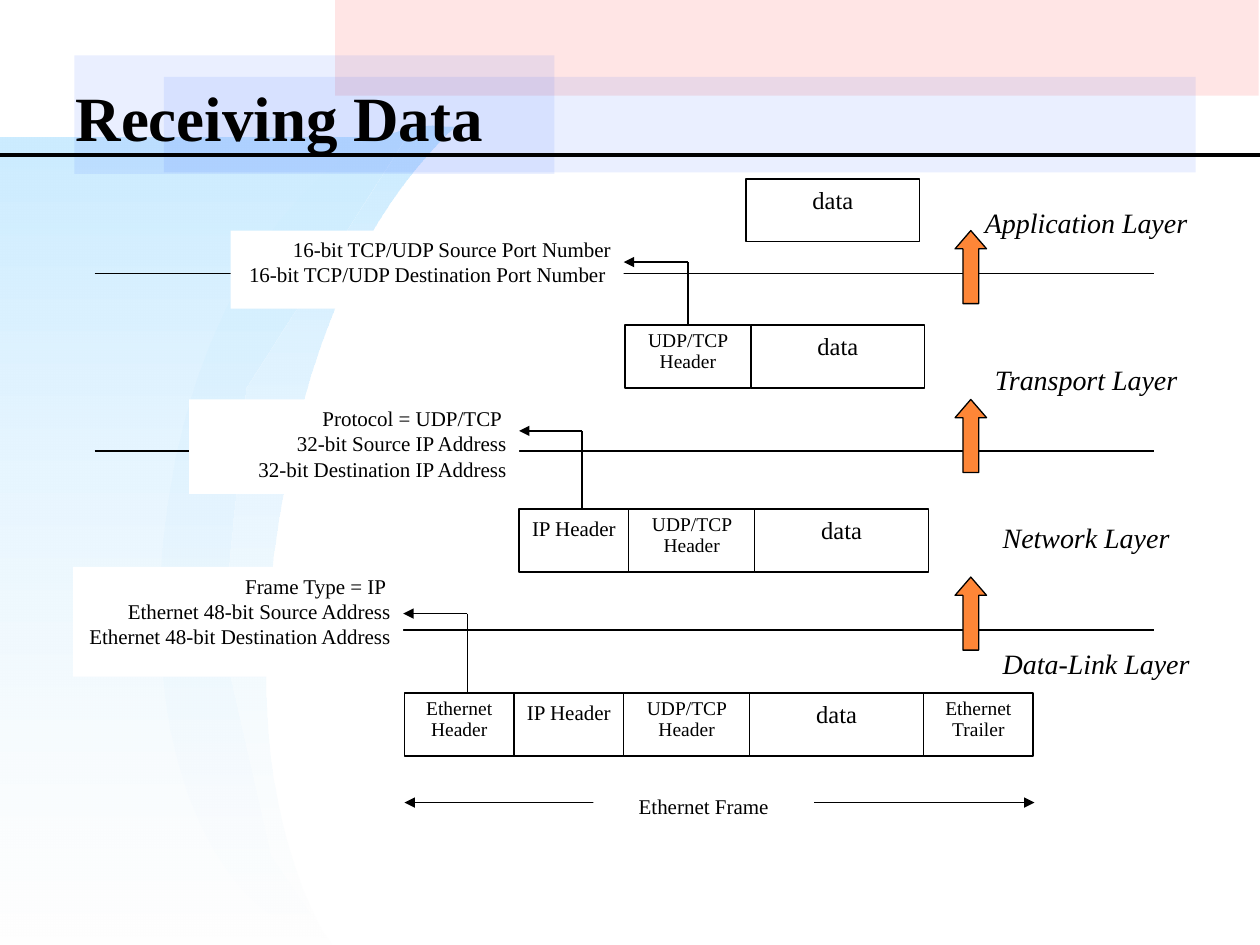
from lxml.etree import SubElement
from pptx import Presentation
from pptx.dml.color import RGBColor
from pptx.enum.shapes import MSO_CONNECTOR, MSO_SHAPE
from pptx.enum.text import MSO_ANCHOR, PP_ALIGN
from pptx.oxml.ns import qn
from pptx.util import Inches, Pt

THEME = {
    "font": "Times New Roman", "ink": "000000", "paper": "FFFFFF",
    "pink": "FFCCCC", "blue": "3366FF", "sky": "CCECFF", "mist": "FEFEFE", "arrow": "FE8637",
    "title": 36, "layer": 16, "data": 14, "body": 12, "header": 11.1,
    "hairline": 0.75, "rule": 2.25,
}

TITLE = "Receiving Data"
LAYERS = [("Application Layer", 7.58, 1.58), ("Transport Layer", 7.58, 2.83),
          ("Network Layer", 7.58, 4.08), ("Data-Link Layer", 7.66, 5.08)]
BOUNDARIES = [2.17, 3.58, 5]
UP_ARROWS = [1.83, 3.17, 4.58]

FIELDS = {
    "data": (1.38, "data", 1),
    "UDP/TCP Header": (1, "header", 0.9),
    "IP Header": (0.87, "body", 1),
    "Ethernet Header": (0.87, "header", 0.9),
    "Ethernet Trailer": (0.87, "header", 0.9),
}
PACKETS = [
    {"at": (5.92, 1.42), "fields": ["data"]},
    {"at": (3.21, 5.5),
     "fields": ["Ethernet Header", "IP Header", "UDP/TCP Header", "data", "Ethernet Trailer"],
     "note": ["Frame Type = IP ", "Ethernet 48-bit Source Address",
              "Ethernet 48-bit Destination Address"],
     "note_box": (0.58, 4.5, 2.62, 0.87), "bend": 4.87},
    {"at": (4.12, 4.04),
     "fields": ["IP Header", "UDP/TCP Header", "data"],
     "note": ["Protocol = UDP/TCP ", "32-bit Source IP Address", "32-bit Destination IP Address"],
     "note_box": (1.5, 3.17, 2.62, 0.75), "bend": 3.42},
    {"at": (4.96, 2.58),
     "fields": ["UDP/TCP Header", "data"],
     "note": ["16-bit TCP/UDP Source Port Number", "16-bit TCP/UDP Destination Port Number "],
     "note_box": (1.83, 1.83, 3.12, 0.62), "bend": 2.08},
]
FIELD_HEIGHT = 0.5
STEM_OFFSET = 0.5
FRAME_LABEL = ("Ethernet Frame", (4.71, 6.25, 1.75, 0.37))
FRAME_SPAN = (3.21, 8.21, 6.37)

CRESCENT = [
    [(3.61, 1.01), (3.07, 1.52), (2.49, 2.39), (2.22, 4.09)],
    [(2.22, 4.09), (1.95, 5.79), (2.24, 6.8), (2.59, 7.44)],
    [(2.59, 7.44), (1.62, 7.29), (1.06, 5.72), (1.34, 3.95)],
    [(1.34, 3.95), (1.61, 2.19), (2.64, 0.86), (3.61, 1.01)],
]
SWEEP = [(2.64, 7.5), (0, 7.5), (0, 1.09), (3.22, 1.09),
         (1.95, 3.08), (1.76, 5.07), (2.15, 6.78)]


def color(name):
    return RGBColor.from_string(THEME[name])


def set_alpha(color_element, percent):
    SubElement(color_element, qn("a:alpha")).set("val", str(percent * 1000))


def add_panel(slide, box, fill, alpha=None, line=None, kind=MSO_SHAPE.RECTANGLE):
    panel = slide.shapes.add_shape(kind, *map(Inches, box))
    panel.shadow.inherit = False
    panel.fill.solid()
    panel.fill.fore_color.rgb = color(fill)
    if alpha:
        set_alpha(next(panel.element.spPr.iter(qn("a:srgbClr"))), alpha)
    if line:
        panel.line.color.rgb = color(line)
        panel.line.width = Pt(THEME["hairline"])
    else:
        panel.line.fill.background()
    return panel


def add_line(slide, start, end, ink="ink", width="hairline", arrows=()):
    line = slide.shapes.add_connector(MSO_CONNECTOR.STRAIGHT, *map(Inches, start + end))
    line.line.color.rgb = color(ink)
    line.line.width = Pt(THEME[width])
    for end_name in arrows:
        SubElement(line.line._get_or_add_ln(), qn(end_name)).set("type", "triangle")
    SubElement(line.element.spPr, qn("a:effectLst"))
    return line


def write(shape, lines, size, align, spacing=1, anchor=MSO_ANCHOR.TOP, bold=False, italic=False):
    frame = shape.text_frame
    frame.text = "\n".join(lines)
    frame.word_wrap = True
    frame.vertical_anchor = anchor
    for paragraph in frame.paragraphs:
        paragraph.alignment = align
        paragraph.line_spacing = spacing
        for run in paragraph.runs:
            run.font.name = THEME["font"]
            run.font.size = Pt(THEME[size])
            run.font.bold = bold
            run.font.italic = italic
            run.font.color.rgb = color("ink")


def curve_points(curve, steps=16):
    for step in range(steps):
        t = step / steps
        weights = ((1 - t) ** 3, 3 * t * (1 - t) ** 2, 3 * t * t * (1 - t), t ** 3)
        yield tuple(sum(w * p[axis] for w, p in zip(weights, curve)) for axis in (0, 1))


def add_wash(slide, points):
    first, *rest = [(Inches(x), Inches(y)) for x, y in points]
    builder = slide.shapes.build_freeform(*first)
    builder.add_line_segments(rest, close=True)
    wash = builder.convert_to_shape()
    wash.shadow.inherit = False
    wash.line.fill.background()
    wash.fill.gradient()
    wash.fill.gradient_angle = 270
    for stop, name, position in zip(wash.fill.gradient_stops, ("sky", "mist"), (0, 1)):
        stop.color.rgb = color(name)
        stop.position = position
    set_alpha(list(wash.element.spPr.iter(qn("a:srgbClr")))[-1], 50)


def add_backdrop(slide):
    add_line(slide, (0.25, 1.17), (10, 1.17), ink="paper")
    add_panel(slide, (2.66, 0, 7.33, 0.76), "pink", alpha=50)
    add_wash(slide, [point for curve in CRESCENT for point in curve_points(curve)])
    add_wash(slide, SWEEP)
    add_panel(slide, (0.59, 0.44, 3.81, 0.94), "blue", alpha=10)
    add_panel(slide, (1.3, 0.61, 8.19, 0.76), "blue", alpha=10)
    add_line(slide, (0, 1.23), (10, 1.23), width="rule")


def add_title(slide):
    title = slide.shapes.title
    title.left, title.top, title.width, title.height = map(Inches, (0.5, 0.3, 8.17, 1.25))
    write(title, [TITLE], "title", PP_ALIGN.LEFT, anchor=MSO_ANCHOR.MIDDLE, bold=True)
    title.element.getparent().append(title.element)


def add_packet(slide, packet):
    left, top = packet["at"]
    x = left
    cells = []
    for field in packet["fields"]:
        width, size, spacing = FIELDS[field]
        cell = add_panel(slide, (x, top, width, FIELD_HEIGHT), "paper", line="ink")
        write(cell, [field], size, PP_ALIGN.CENTER, spacing)
        cells.append(cell)
        x += width
    if "note" not in packet:
        return
    note = add_panel(slide, packet["note_box"], "paper")
    write(note, packet["note"], "body", PP_ALIGN.RIGHT)
    stem_x, bend = left + STEM_OFFSET, packet["bend"]
    note_right = packet["note_box"][0] + packet["note_box"][2]
    stem = add_line(slide, (stem_x, bend), (stem_x, top))
    if FIELDS[packet["fields"][0]][0] == 2 * STEM_OFFSET:
        stem.end_connect(cells[0], 0)
    add_line(slide, (stem_x, bend), (note_right, bend), arrows=["a:tailEnd"])


def main():
    deck = Presentation()
    deck.slide_width, deck.slide_height = Inches(10), Inches(7.5)
    slide = deck.slides.add_slide(deck.slide_layouts[5])
    add_backdrop(slide)
    for y in BOUNDARIES:
        add_line(slide, (0.75, y), (9.16, y))
    for layer, x, y in LAYERS:
        label = slide.shapes.add_textbox(*map(Inches, (x, y, 2.08, 0.37)))
        write(label, [layer], "layer", PP_ALIGN.CENTER, italic=True)
    add_title(slide)
    frame_left, frame_right, frame_y = FRAME_SPAN
    add_line(slide, (frame_left, frame_y), (frame_right, frame_y),
             arrows=["a:headEnd", "a:tailEnd"])
    caption, caption_box = FRAME_LABEL
    write(add_panel(slide, caption_box, "paper"), [caption], "body", PP_ALIGN.CENTER)
    for packet in PACKETS:
        add_packet(slide, packet)
    for y in UP_ARROWS:
        arrow = add_panel(slide, (7.58, y, 0.25, 0.58), "arrow", line="ink",
                          kind=MSO_SHAPE.UP_ARROW)
        arrow.adjustments[0], arrow.adjustments[1] = 0.5, 0.58
    deck.save("out.pptx")


if __name__ == "__main__":
    main()
